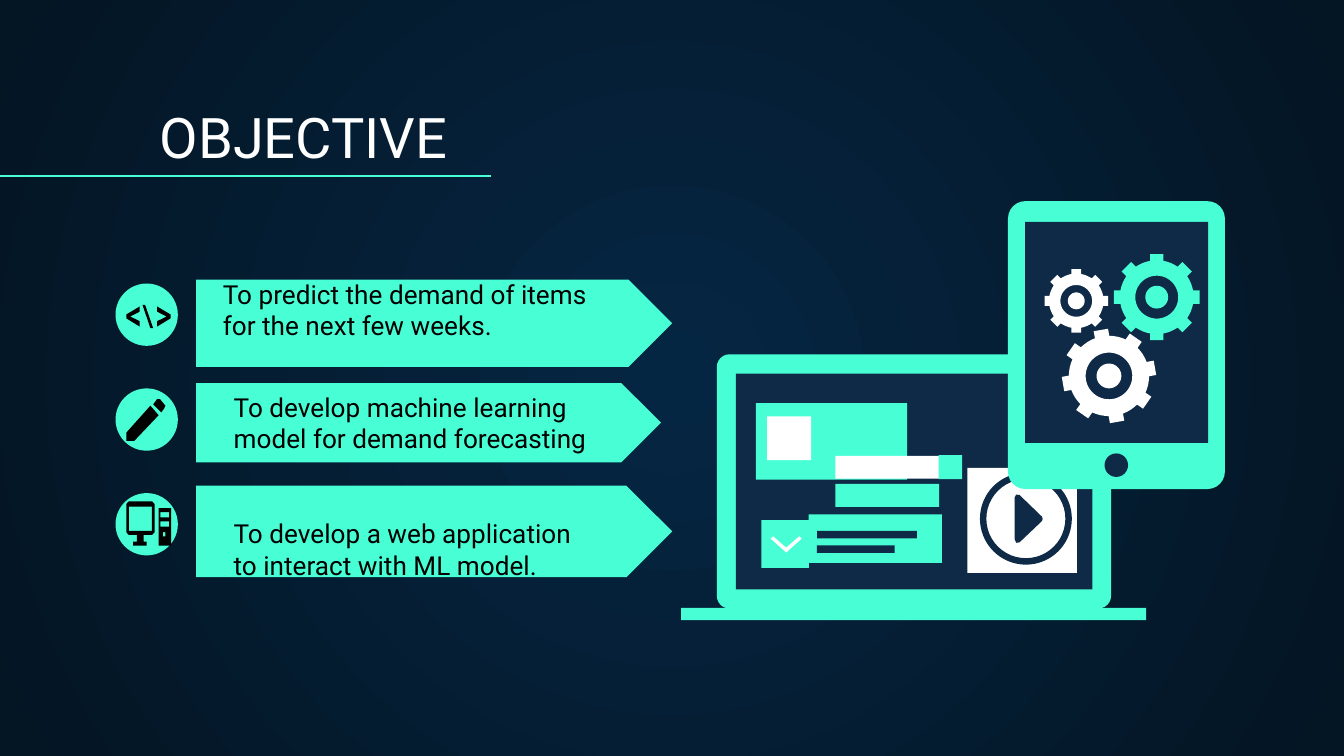
import math
from dataclasses import dataclass

from lxml import etree
from pptx import Presentation
from pptx import util as u
from pptx.dml.color import RGBColor
from pptx.enum import shapes, text
from pptx.oxml import ns

MINT, NAVY, WHITE, BLACK = "48FFD5", "0E2A47", "FFFFFF", "000000"
PRESET = shapes.MSO_SHAPE
Point = tuple[float, float]
Contour = list[Point]


@dataclass
class Part:
    preset: PRESET
    left: float
    top: float
    width: float
    height: float
    colour: str
    adjust: float | None = None


@dataclass
class Label:
    words: str
    left: float
    top: float
    width: float
    height: float
    size: float = 14
    colour: str = BLACK
    bottom_inset: float = 7.2


@dataclass
class Gear:
    x: float
    y: float
    radius: float
    colour: str
    turn: float = 0


def paint(fill, colour: str) -> None:
    fill.solid()
    fill.fore_color.rgb = RGBColor.from_string(colour)


def finish(shape, colour: str) -> None:
    paint(shape.fill, colour)
    shape.line.fill.background()
    shape.shadow.inherit = False


def draw_part(slide, part: Part) -> None:
    box = map(u.Pt, (part.left, part.top, part.width, part.height))
    shape = slide.shapes.add_shape(part.preset, *box)
    if part.adjust is not None:
        shape.adjustments[0] = part.adjust
    finish(shape, part.colour)


def draw_outline(slide, contours: list[Contour], colour: str) -> None:
    scaled = [[(u.Pt(x), u.Pt(y)) for x, y in contour] for contour in contours]
    builder = slide.shapes.build_freeform(*scaled[0][0])
    for index, (start, *rest) in enumerate(scaled):
        if index:
            builder.move_to(*start)
        builder.add_line_segments(rest, close=True)
    finish(builder.convert_to_shape(), colour)


def draw_label(slide, label: Label) -> None:
    box = map(u.Pt, (label.left, label.top, label.width, label.height))
    frame = slide.shapes.add_textbox(*box).text_frame
    frame_format = {
        "word_wrap": True, "vertical_anchor": text.MSO_ANCHOR.BOTTOM,
        "margin_left": u.Pt(7.2), "margin_right": u.Pt(7.2),
        "margin_top": u.Pt(7.2), "margin_bottom": u.Pt(label.bottom_inset),
    }
    for name, value in frame_format.items():
        setattr(frame, name, value)
    run = frame.paragraphs[0].add_run()
    run.text = label.words
    for name, value in {"name": "Roboto", "size": u.Pt(label.size)}.items():
        setattr(run.font, name, value)
    paint(run.font.fill, label.colour)


def polar(gear: Gear, radius: float, degrees: float) -> Point:
    angle = math.radians(degrees + gear.turn)
    return gear.x + radius * math.cos(angle), gear.y + radius * math.sin(angle)


def draw_gear(slide, gear: Gear) -> None:
    body, half_tooth = 0.86 * gear.radius, 0.156 * gear.radius
    root = math.degrees(math.asin(half_tooth / body))
    tip = math.degrees(math.atan2(half_tooth, gear.radius))
    reach = math.hypot(half_tooth, gear.radius)
    rim = [polar(gear, radius, tooth * 45 + offset)
           for tooth in range(8)
           for radius, offset in ((body, -root), (reach, -tip), (reach, tip), (body, root),
                                  (body, 16), (body, 22.5), (body, 29))]
    circles = [[polar(gear, share * gear.radius, step * 7.5) for step in range(48)]
               for share in (0.5, 0.265)]
    draw_outline(slide, [rim, *circles], gear.colour)


def box(left: float, top: float, right: float, bottom: float) -> Contour:
    return [(left, top), (right, top), (right, bottom), (left, bottom)]


def draw_background(slide) -> None:
    fill = slide.background.fill
    fill.gradient()
    for stop, colour in zip(fill.gradient_stops, ("052643", "041523")):
        stop.color.rgb = RGBColor.from_string(colour)
    gradient = slide.background._cSld.find(".//" + ns.qn("a:gradFill"))
    gradient.remove(gradient.find(ns.qn("a:lin")))
    circle = etree.SubElement(gradient, ns.qn("a:path"), path="circle")
    etree.SubElement(circle, ns.qn("a:fillToRect"), dict.fromkeys("ltrb", "50000"))


def draw_rule(slide) -> None:
    ends = map(u.Pt, (0, 94.3, 263, 94.3))
    rule = slide.shapes.add_connector(shapes.MSO_CONNECTOR.STRAIGHT, *ends)
    paint(rule.line.fill, MINT)
    rule.line.width = u.Pt(0.75)
    etree.SubElement(rule._element.spPr, ns.qn("a:effectLst"))


BANNERS = [Part(PRESET.PENTAGON, 105.1, top, width, height, MINT, 0.5)
           for top, width, height in ((149.8, 255, 46.8), (205.2, 249, 42.5), (260.2, 255, 49))]
BADGES = [Part(PRESET.OVAL, 61.9, top, 33.4, 33.4, MINT) for top in (151.9, 208.1, 264.2)]
LABELS = [
    Label("OBJECTIVE", 78.5, 50.4, 617, 47.5, 30, WHITE),
    Label("To predict the demand of items for the next few weeks.",
          112.3, 151.9, 225.4, 54.7, bottom_inset=23.8),
    Label("To develop machine learning model for demand forecasting",
          118.1, 191.5, 208.1, 59),
    Label("To develop a web application to interact with ML model.",
          118.1, 264.2, 196.6, 54),
]

LEFT_BRACKET = [(74.9, 175), (67.7, 170.6), (67.7, 168.5), (74.9, 164.2),
                (74.9, 167), (69.8, 169.6), (74.9, 172.1)]
RIGHT_BRACKET = [(159.1 - x, y) for x, y in LEFT_BRACKET]
BACKSLASH = [(76.4, 163.4), (77.8, 163.4), (82.1, 175.8), (80.6, 175.8)]
PENCIL_END = [(84.2, 213.8), (82.1, 216.7), (86.4, 221), (88, 218.9),
              (88.6, 217.4), (85.7, 213.8)]
PENCIL_BODY = [(80.6, 217.4), (67.7, 231.8), (67.7, 236.2), (72, 236.2), (85, 222.5)]
MONITOR = [(69, 268.6), (81.5, 268.6), (82.8, 270), (82.8, 285.2), (81.5, 286.6),
           (77, 286.6), (77, 290.2), (78.5, 290.2), (78.5, 292.3), (71.3, 292.3),
           (71.3, 290.2), (73.4, 290.2), (73.4, 286.6), (69, 286.6), (67.7, 285.2), (67.7, 270)]
TOWER = [box(85, 272.2, 91.7, 292.3), box(85.9, 274.3, 90.7, 277.2),
         box(85.9, 279.4, 90.7, 282.2), box(87.3, 285.1, 88.6, 287.3)]
ICONS = [[LEFT_BRACKET, BACKSLASH, RIGHT_BRACKET], [PENCIL_END, PENCIL_BODY],
         [MONITOR, box(69.1, 271.4, 81.4, 284.4)], TOWER]

LAPTOP = [
    Part(PRESET.ROUNDED_RECTANGLE, 384, 189.8, 211.2, 136.2, MINT, 0.05),
    Part(PRESET.RECTANGLE, 394.2, 200.2, 191, 115.5, NAVY),
    Part(PRESET.RECTANGLE, 364.9, 325.7, 249.1, 6.5, MINT),
    Part(PRESET.RECTANGLE, 405, 216, 81, 41, MINT),
    Part(PRESET.RECTANGLE, 411, 223, 23.6, 23.5, WHITE),
    Part(PRESET.RECTANGLE, 433.2, 275.6, 71.5, 26, MINT),
    Part(PRESET.RECTANGLE, 437.7, 284.4, 53.5, 4, NAVY),
    Part(PRESET.RECTANGLE, 437.7, 292.2, 41.6, 4, NAVY),
    Part(PRESET.RECTANGLE, 407.9, 278.6, 25.5, 25.7, MINT),
    Part(PRESET.RECTANGLE, 447.5, 259.2, 55.6, 12.4, MINT),
    Part(PRESET.RECTANGLE, 447.5, 244.3, 55.6, 12.2, WHITE),
    Part(PRESET.RECTANGLE, 502.8, 243.9, 12.6, 12.8, MINT),
    Part(PRESET.RECTANGLE, 518.2, 250.7, 58.7, 56.2, WHITE),
    Part(PRESET.DONUT, 525, 253.3, 49.2, 49.2, NAVY, 0.07),
]
CHEVRON = [(412.9, 288.6), (414.2, 287.3), (421.2, 293.4), (428.2, 287.3),
           (429.5, 288.6), (421.2, 296)]
PLAY = [(543.6, 266.4), (544.4, 265), (546.2, 265.2), (558.2, 276.8), (558.6, 278),
        (558.2, 279.2), (546.2, 290.6), (544.4, 290.8), (543.6, 289)]
TABLET = [
    Part(PRESET.ROUNDED_RECTANGLE, 540, 107.8, 116.2, 154.2, MINT, 0.08),
    Part(PRESET.RECTANGLE, 549.2, 118.9, 98, 118.4, NAVY),
    Part(PRESET.OVAL, 591.7, 242.9, 12.6, 12.6, NAVY),
]
GEARS = [Gear(619.7, 159.2, 23, MINT), Gear(576.6, 161.2, 17, WHITE),
         Gear(594.1, 201.4, 25, WHITE, -10)]


def main() -> None:
    deck = Presentation()
    deck.slide_width, deck.slide_height = u.Pt(720), u.Pt(405)
    slide = deck.slides.add_slide(deck.slide_layouts[6])
    draw_background(slide)
    draw_rule(slide)
    for part in BANNERS + BADGES:
        draw_part(slide, part)
    for icon in ICONS:
        draw_outline(slide, icon, BLACK)
    for part in LAPTOP:
        draw_part(slide, part)
    draw_outline(slide, [CHEVRON], WHITE)
    draw_outline(slide, [PLAY], NAVY)
    for part in TABLET:
        draw_part(slide, part)
    for gear in GEARS:
        draw_gear(slide, gear)
    for label in LABELS:
        draw_label(slide, label)
    deck.save("out.pptx")


if __name__ == "__main__":
    main()
